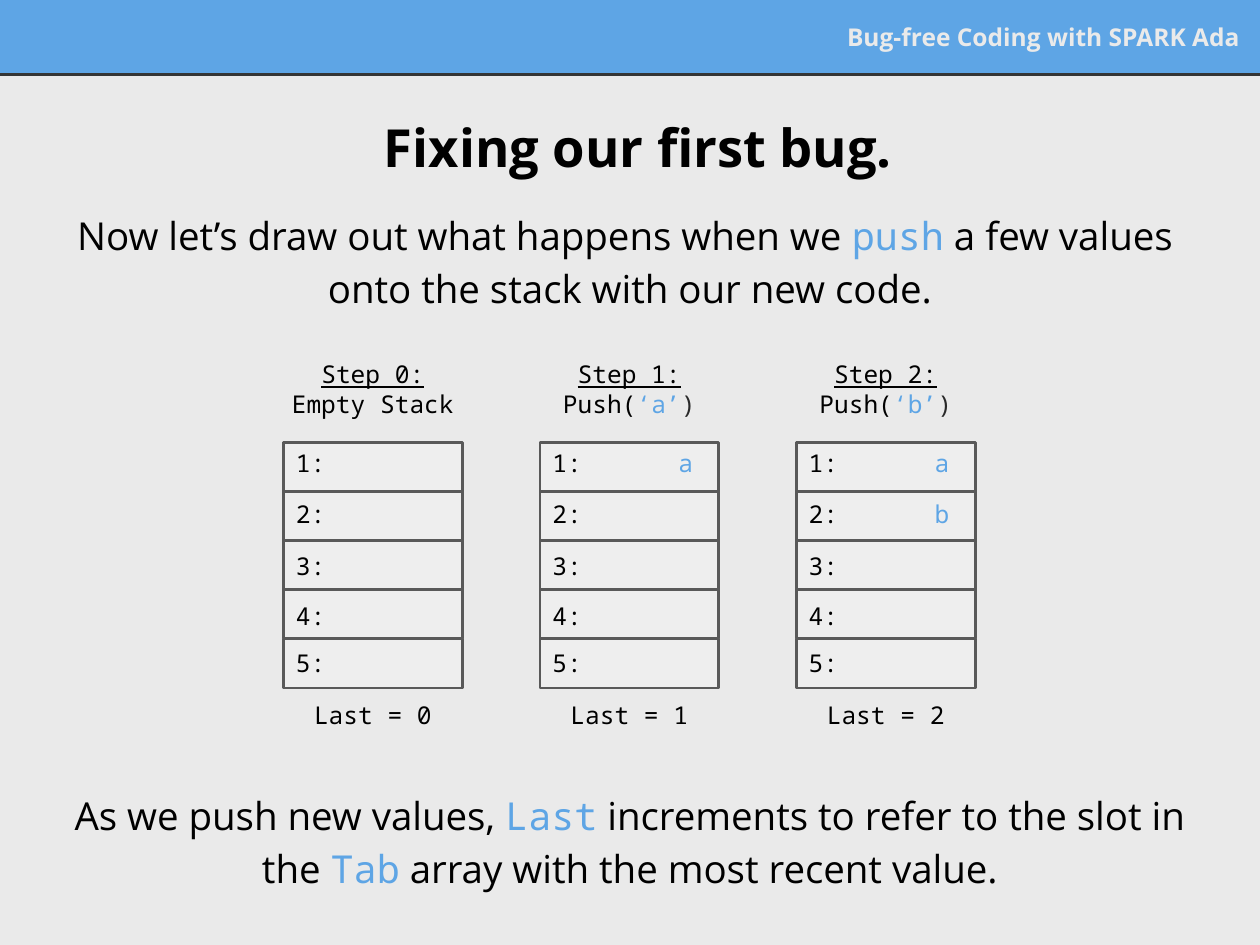
"""Build the slide that shows three steps of pushing values onto a stack."""
from lxml import etree
from pptx import Presentation
from pptx import util as u
from pptx.dml.color import RGBColor
from pptx.enum import shapes, text
from pptx.oxml.ns import qn

SANS, MONO = "Open Sans", "Noto Sans Mono"
BLUE, BLACK, PAPER, BAR_EDGE = "5EA5E5", "000000", "EAEAEA", "353535"
CELL_FILL, CELL_EDGE, BRACKET = "EEEEEE", "595959", "292929"
LEFT, CENTER, RIGHT = text.PP_ALIGN.LEFT, text.PP_ALIGN.CENTER, text.PP_ALIGN.RIGHT
TOP, MIDDLE = text.MSO_ANCHOR.TOP, text.MSO_ANCHOR.MIDDLE

WIDTH, HEIGHT, BAR = 10, 7.5, 0.59
CODE = {"color": BLUE, "font": MONO}
HEADER = [["Bug-free Coding with SPARK Ada"]]
TITLE = [["Fixing our first bug."]]
INTRO = [
    ["Now let’s draw out what happens when we ", ("push", CODE), " a few values "],
    ["onto the stack with our new code."],
]
OUTRO = [[
    "As we push new values, ", ("Last", CODE),
    " increments to refer to the slot in the ", ("Tab", CODE),
    " array with the most recent value.",
]]


def push(value):
    return ["Push(", (f"‘{value}’", {"color": BLUE}), (")", {"color": BRACKET})]


STEPS = [(["Empty Stack"], ""), (push("a"), "a"), (push("b"), "ab")]
SLOTS = 5
STACK_LEFT, STACK_TOP, STACK_PITCH = 2.25, 3.51, 2.035
CELL_WIDTH, CELL_HEIGHT = 1.42, 0.39
LABEL_TOPS = (3.46, 3.86, 4.27, 4.67, 5.04)


def rgb(value):
    return RGBColor.from_string(value)


def inches(*lengths):
    return [u.Inches(length) for length in lengths]


def style(font, color=None, name=None, size=None, bold=None):
    if color:
        font.color.rgb = rgb(color)
    if name:
        font.name = name
    if size:
        font.size = u.Pt(size)
    if bold is not None:
        font.bold = bold


def add_text(parent, place, lines, size, name=MONO, color=BLACK, bold=False,
             align=CENTER, anchor=TOP, spacing=None, tab=None, underline_first=False):
    frame = parent.add_textbox(*inches(*place)).text_frame
    frame.word_wrap = True
    frame.vertical_anchor = anchor
    frame.margin_left = frame.margin_right = u.Inches(0.1)
    frame.margin_top = frame.margin_bottom = u.Inches(0.1)
    for index, line in enumerate(lines):
        para = frame.add_paragraph() if index else frame.paragraphs[0]
        para.alignment = align
        if spacing:
            para.line_spacing = spacing
        if tab:
            stops = etree.SubElement(para._p.get_or_add_pPr(), qn("a:tabLst"))
            etree.SubElement(stops, qn("a:tab"), pos=str(u.Inches(tab)), algn="l")
        style(para.font, color, name, size, bold)
        for item in line:
            words, look = (item, {}) if isinstance(item, str) else item
            span = para.add_run()
            span.text = words
            style(span.font, look.get("color", color), look.get("font", name), size, bold)
            if underline_first and index == 0:
                span.font.underline = True


def add_box(parent, place, fill, edge, weight):
    box = parent.add_shape(shapes.MSO_SHAPE.RECTANGLE, *inches(*place))
    box.shadow.inherit = False
    box.fill.solid()
    box.fill.fore_color.rgb = rgb(fill)
    box.line.color.rgb = rgb(edge)
    box.line.width = u.Pt(weight)


def add_stack(page, step, action, values):
    left = STACK_LEFT + step * STACK_PITCH
    group = page.shapes.add_group_shape().shapes
    for slot in range(SLOTS):
        top = STACK_TOP + slot * CELL_HEIGHT
        add_box(group, (left, top, CELL_WIDTH, CELL_HEIGHT), CELL_FILL, CELL_EDGE, 1.5)
    for slot, top in enumerate(LABEL_TOPS):
        line = [f"{slot + 1}:"]
        if slot < len(values):
            line = [f"{slot + 1}:\t", (values[slot], {"color": BLUE})]
        add_text(group, (left, top, CELL_WIDTH, 0.37), [line], 14, align=LEFT, tab=1)
    bottom = STACK_TOP + SLOTS * CELL_HEIGHT
    add_text(group, (left + 0.05, bottom, 1.32, 0.4), [[f"Last = {len(values)}"]], 14)
    add_text(group, (left - 0.04, 2.71, 1.5, 0.75), [[f"Step {step}:"], action], 14,
             anchor=MIDDLE, underline_first=True)


def main():
    deck = Presentation()
    deck.slide_width, deck.slide_height = inches(WIDTH, HEIGHT)
    page = deck.slides.add_slide(deck.slide_layouts[6])
    page.background.fill.solid()
    page.background.fill.fore_color.rgb = rgb(PAPER)

    add_box(page.shapes, (0, 0, WIDTH, BAR), BLUE, BLUE, 0.75)
    rule = page.shapes.add_connector(
        shapes.MSO_CONNECTOR.STRAIGHT, *inches(0, BAR, WIDTH, BAR))
    rule.line.color.rgb = rgb(BAR_EDGE)
    rule.line.width = u.Pt(1.5)
    etree.SubElement(rule._element.spPr, qn("a:effectLst"))

    add_text(page.shapes, (5.84, 0.1, 4.1, 0.38), HEADER, 14, SANS, PAPER, True,
             RIGHT, MIDDLE)
    add_text(page.shapes, (0.24, 0.71, 9.65, 0.9), TITLE, 30, SANS, bold=True,
             anchor=MIDDLE)
    for top, lines in ((1.53, INTRO), (6.13, OUTRO)):
        add_text(page.shapes, (0.41, top, 9.18, 0.9), lines, 22, SANS, spacing=1.15)
    for step, (action, values) in enumerate(STEPS):
        add_stack(page, step, action, values)
    deck.save("out.pptx")


if __name__ == "__main__":
    main()
